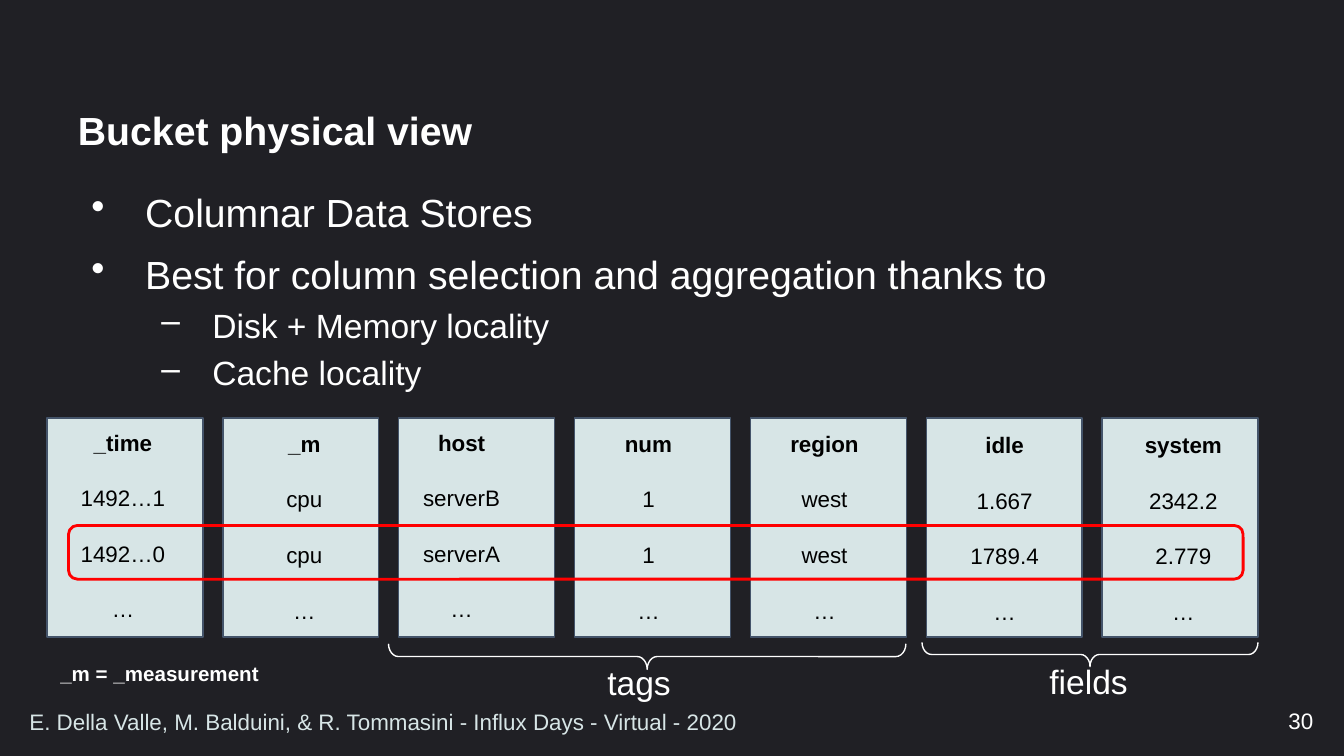
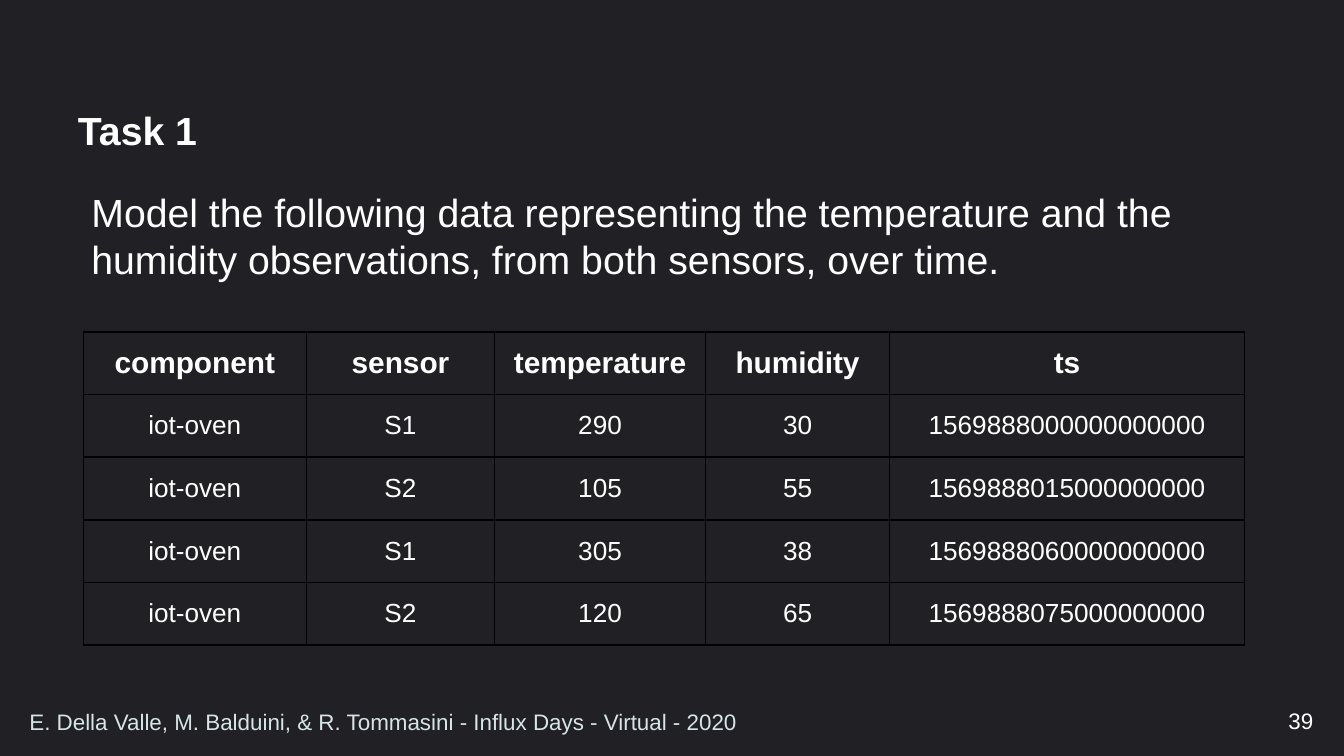
from dataclasses import dataclass

from lxml.etree import SubElement
from pptx import Presentation
from pptx.dml.color import RGBColor
from pptx.enum.shapes import MSO_SHAPE
from pptx.enum.text import MSO_ANCHOR, PP_ALIGN
from pptx.oxml.ns import qn
from pptx.util import Inches, Pt

FONT = "Arial"
NIGHT, WHITE, BLACK = "202025", "FFFFFF", "000000"
MIST, SLATE, RED = "D7E5E6", "44546A", "FF0000"
FOOTER = "E. Della Valle, M. Balduini, & R. Tommasini - Influx Days - Virtual - 2020"
BODY_AREA = (0.51, 1.36, 8.98, 3.71)
PLACEHOLDER_INSETS = (0.07, 0.04)
FIRST_STORE, LAST_STORE = 0.35, 8.2
ENTRY_STEP = 1.24 / 3


@dataclass(frozen=True)
class Line:
    """A body paragraph; indent and hanging are in inches."""

    text: str
    size: float = 21
    indent: float = 0.5
    hanging: float = 0.4
    before: float = 8
    bullet: str = "•"


@dataclass(frozen=True)
class StoreColumn:
    entries: tuple[str, ...]
    center: float
    top: float


@dataclass(frozen=True)
class Group:
    """A brace under some columns, with its label."""

    label: str
    brace: tuple[float, float, float, float]
    label_area: tuple[float, float, float, float]


BUCKET_LINES = (
    Line("Columnar Data Stores"),
    Line("Best for column selection and aggregation thanks to"),
    Line("Disk + Memory locality", 18, 1, 0.38, 4, "–"),
    Line("Cache locality", 18, 1, 0.38, 4, "–"),
)
TASK_LINES = (
    Line("Model the following data representing the temperature and the "
         "humidity observations, from both sensors, over time.",
         indent=0.1, hanging=0, bullet=""),
)
STORE_COLUMNS = (
    StoreColumn(("_time", "1492…1", "1492…0", "…"), 0.91, 3.09),
    StoreColumn(("_m", "cpu", "cpu", "…"), 2.26, 3.1),
    StoreColumn(("host", "serverB", "serverA", "…"), 3.43, 3.09),
    StoreColumn(("num", "1", "1", "…"), 4.82, 3.1),
    StoreColumn(("region", "west", "west", "…"), 6.13, 3.1),
    StoreColumn(("idle", "1.667", "1789.4", "…"), 7.47, 3.11),
    StoreColumn(("system", "2342.2", "2.779", "…"), 8.8, 3.11),
)
GROUPS = (
    Group("tags", (4.72, 2.96, 0.19, 3.85), (4.42, 4.88, 0.69, 0.4)),
    Group("fields", (8.02, 3.62, 0.18, 2.5), (7.71, 4.87, 0.8, 0.4)),
)
SENSOR_WIDTHS = (1.66, 1.4, 1.57, 1.37, 2.64)
SENSOR_ROWS = (
    ("component", "sensor", "temperature", "humidity", "ts"),
    ("iot-oven", "S1", "290", "30", "1569888000000000000"),
    ("iot-oven", "S2", "105", "55", "1569888015000000000"),
    ("iot-oven", "S1", "305", "38", "1569888060000000000"),
    ("iot-oven", "S2", "120", "65", "1569888075000000000"),
)


def color(code: str) -> RGBColor:
    return RGBColor.from_string(code)


def place(area: tuple) -> list:
    return [Inches(length) for length in area]


def write(paragraph, text: str, *, size: float = 12, ink: str = WHITE,
          bold: bool = False, align=PP_ALIGN.LEFT, spacing: float | None = None):
    paragraph.alignment = align
    if spacing:
        paragraph.line_spacing = spacing
    span = paragraph.add_run()
    span.text = text
    span.font.name, span.font.size, span.font.bold = FONT, Pt(size), bold
    span.font.color.rgb = color(ink)


def add_frame(page, area: tuple, *, insets=(0.1, 0.05), anchor=MSO_ANCHOR.TOP,
              wrap: bool = True):
    frame = page.shapes.add_textbox(*place(area)).text_frame
    frame.word_wrap, frame.vertical_anchor = wrap, anchor
    frame.margin_left = frame.margin_right = Inches(insets[0])
    frame.margin_top = frame.margin_bottom = Inches(insets[1])
    return frame


def add_text(page, text: str, area: tuple, *, insets=(0.1, 0.05),
             anchor=MSO_ANCHOR.TOP, wrap: bool = True, **style):
    frame = add_frame(page, area, insets=insets, anchor=anchor, wrap=wrap)
    write(frame.paragraphs[0], text, **style)


def add_outline(page, kind, area: tuple, line: str, width: float, fill: str = ""):
    shape = page.shapes.add_shape(kind, *place(area))
    shape.shadow.inherit = False
    if fill:
        shape.fill.solid()
        shape.fill.fore_color.rgb = color(fill)
    else:
        shape.fill.background()
    shape.line.color.rgb = color(line)
    shape.line.width = Pt(width)
    return shape


def set_bullet(paragraph, line: Line):
    properties = paragraph._p.get_or_add_pPr()
    properties.set("marL", str(Inches(line.indent)))
    properties.set("indent", str(-Inches(line.hanging)))
    if line.bullet:
        tint = SubElement(properties, qn("a:buClr"))
        SubElement(tint, qn("a:srgbClr"), val=WHITE)
        SubElement(properties, qn("a:buChar"), char=line.bullet)


def add_body(page, lines: tuple[Line, ...]):
    frame = add_frame(page, BODY_AREA, insets=PLACEHOLDER_INSETS)
    for index, line in enumerate(lines):
        paragraph = frame.add_paragraph() if index else frame.paragraphs[0]
        set_bullet(paragraph, line)
        if index:
            paragraph.space_before = Pt(line.before)
        write(paragraph, line.text, size=line.size)


def add_page(deck, title: str, number: int, lines: tuple[Line, ...]):
    """Add a page with the shared title, body, footer and page number."""
    page = deck.slides.add_slide(deck.slide_layouts[6])
    middle = MSO_ANCHOR.MIDDLE
    add_text(page, title, (0.51, 0.67, 8.98, 0.64), insets=PLACEHOLDER_INSETS,
             anchor=middle, size=21, bold=True, spacing=0.9)
    add_body(page, lines)
    add_text(page, FOOTER, (0.12, 5.22, 7.45, 0.29), anchor=middle, ink=MIST)
    add_text(page, str(number), (7.62, 5.21, 2.25, 0.3), anchor=middle,
             align=PP_ALIGN.RIGHT)
    return page


def add_store(page):
    pitch = (LAST_STORE - FIRST_STORE) / (len(STORE_COLUMNS) - 1)
    for index, column in enumerate(STORE_COLUMNS):
        add_outline(page, MSO_SHAPE.RECTANGLE,
                    (FIRST_STORE + pitch * index, 3.11, 1.16, 1.63),
                    SLATE, 0.75, MIST)
        for row, entry in enumerate(column.entries):
            add_text(page, entry,
                     (column.center - 0.45, column.top + ENTRY_STEP * row, 0.91, 0.27),
                     insets=(0.1, 0.1), ink=BLACK, bold=row == 0,
                     align=PP_ALIGN.CENTER)
    add_outline(page, MSO_SHAPE.ROUNDED_RECTANGLE, (0.51, 3.91, 8.74, 0.4), RED, 1.5)


def add_group(page, group: Group):
    brace = add_outline(page, MSO_SHAPE.RIGHT_BRACE, group.brace, WHITE, 0.75)
    brace.adjustments[0] = 0.39
    brace.rotation = 90
    add_text(page, group.label, group.label_area, wrap=False, size=18)


def set_borders(cell):
    properties = cell._tc.get_or_add_tcPr()
    for side in ("lnL", "lnR", "lnT", "lnB"):
        border = SubElement(properties, qn(f"a:{side}"), w=str(Pt(1)))
        SubElement(SubElement(border, qn("a:solidFill")), qn("a:srgbClr"), val=BLACK)


def add_sensor_table(page):
    table = page.shapes.add_table(
        len(SENSOR_ROWS), len(SENSOR_WIDTHS),
        *place((0.62, 2.47, sum(SENSOR_WIDTHS), 2.33))).table
    table.first_row = table.horz_banding = False
    for column, width in zip(table.columns, SENSOR_WIDTHS):
        column.width = Inches(width)
    for row, entries in enumerate(SENSOR_ROWS):
        for index, entry in enumerate(entries):
            cell = table.cell(row, index)
            set_borders(cell)
            cell.fill.background()
            cell.vertical_anchor = MSO_ANCHOR.MIDDLE
            write(cell.text_frame.paragraphs[0], entry, size=14 if row else 16,
                  bold=row == 0, align=PP_ALIGN.CENTER)


def main():
    deck = Presentation()
    deck.slide_width = Inches(10)
    deck.slide_height = deck.slide_width * 9 // 16
    backdrop = deck.slide_master.background.fill
    backdrop.solid()
    backdrop.fore_color.rgb = color(NIGHT)

    bucket_page = add_page(deck, "Bucket physical view", 30, BUCKET_LINES)
    add_store(bucket_page)
    for group in GROUPS:
        add_group(bucket_page, group)
    add_text(bucket_page, "_m = _measurement", (0.35, 4.87, 1.69, 0.29),
             wrap=False, size=11, bold=True)

    task_page = add_page(deck, "Task 1", 39, TASK_LINES)
    add_sensor_table(task_page)
    deck.save("out.pptx")


if __name__ == "__main__":
    main()
